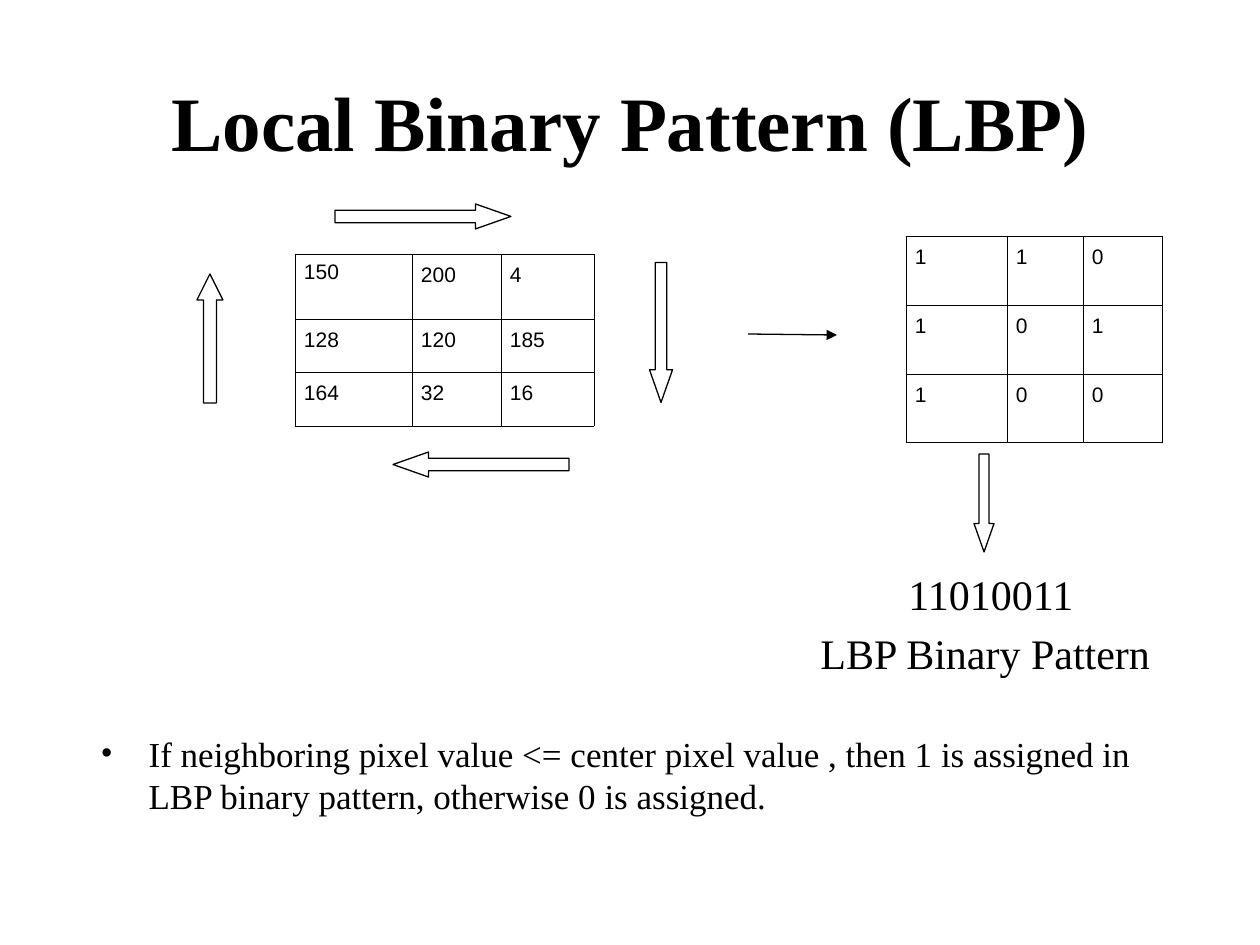
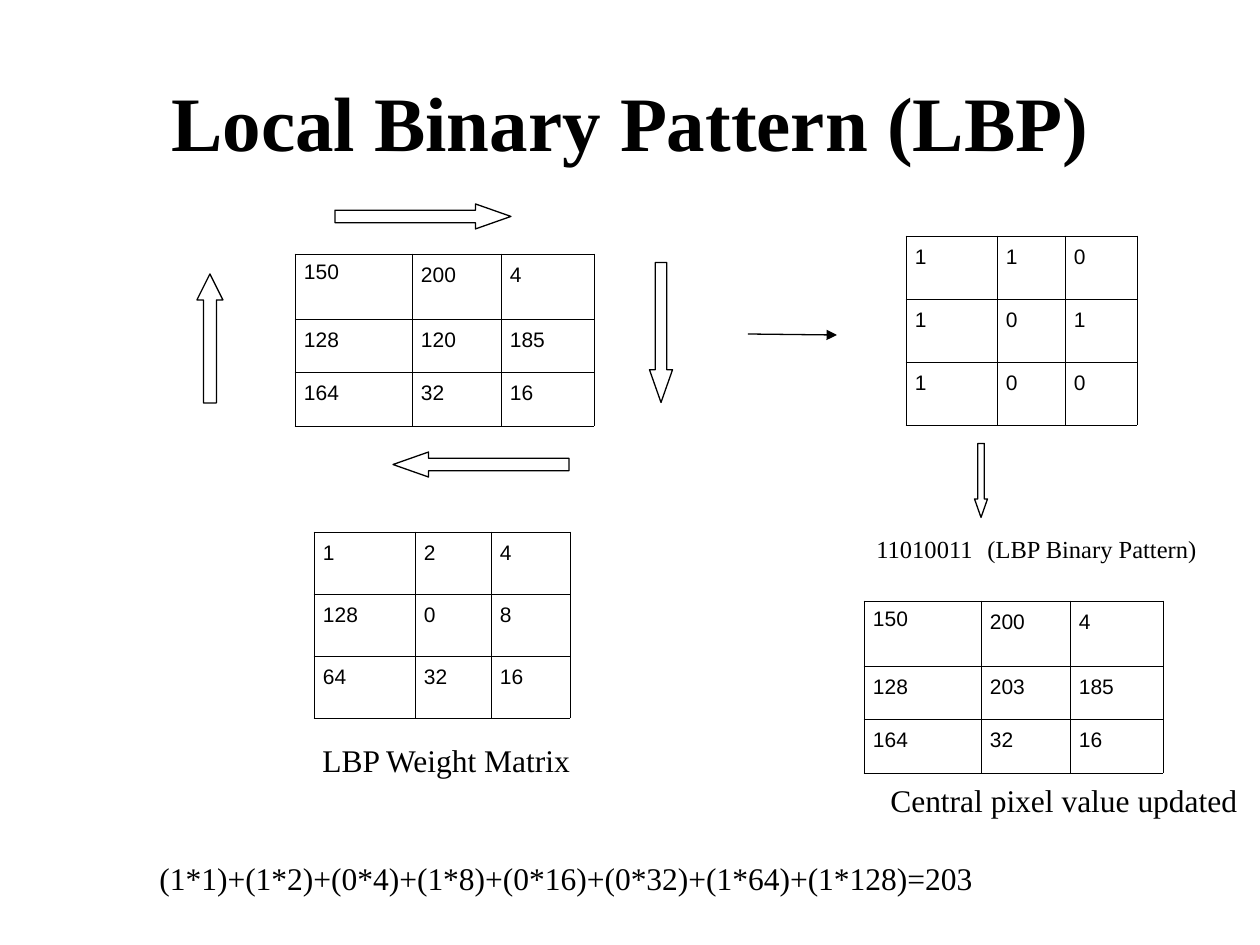
import pptx
import pptx.dml.color
import pptx.enum.shapes
import pptx.enum.text
import pptx.oxml
import pptx.oxml.ns
import pptx.util

INK = "000000"
PAPER = "FFFFFF"
SERIF = "Times New Roman"
SANS = "Arial"
TITLE = "Local Binary Pattern (LBP)"
KIND = pptx.enum.shapes.MSO_SHAPE
FIT = pptx.enum.text.MSO_AUTO_SIZE
ANCHOR = pptx.enum.text.MSO_ANCHOR

PIXELS = [[150, 200, 4], [128, 120, 185], [164, 32, 16]]
UPDATED = [[150, 200, 4], [128, 203, 185], [164, 32, 16]]
BITS = [[1, 1, 0], [1, 0, 1], [1, 0, 0]]
WEIGHTS = [[1, 2, 4], [128, 0, 8], [64, 32, 16]]
PIXEL_COLS, PIXEL_ROWS = [117, 89, 93], [65, 53, 54]
WIDE_COLS, SLIM_COLS = [101, 76, 79], [91, 68, 72]


def px(*sizes):
    """Turn pixel lengths into EMU."""
    return [round(size * 914400 / 126) for size in sizes]


def tint(code):
    """Turn a hex string into a colour."""
    return pptx.dml.color.RGBColor.from_string(code)


def node(xml):
    """Parse one DrawingML element."""
    return pptx.oxml.parse_xml(xml.replace(" ", " " + pptx.oxml.ns.nsdecls("a") + " ", 1))


def style(para, size, face=SERIF, bold=False):
    """Format every run of a paragraph."""
    for run in para.runs:
        run.font.size = pptx.util.Pt(size)
        run.font.name = face
        run.font.bold = bold
        run.font.color.rgb = tint(INK)


def start(deck, layout):
    """Add a slide with the shared title."""
    slide = deck.slides.add_slide(deck.slide_layouts[layout])
    title = slide.shapes.title
    title.left, title.top, title.width, title.height = px(95, 84, 1071, 158)
    frame = title.text_frame
    frame.text = TITLE
    frame.auto_size = FIT.NONE
    frame.vertical_anchor = ANCHOR.MIDDLE
    frame.margin_bottom = px(91)[0]
    frame.paragraphs[0].alignment = pptx.enum.text.PP_ALIGN.CENTER
    style(frame.paragraphs[0], 44, bold=True)
    return slide


def label(slide, box, text, size, wrap=False):
    """Add a text box with one line."""
    frame = slide.shapes.add_textbox(*px(*box)).text_frame
    frame.text = text
    frame.word_wrap = wrap
    frame.auto_size = FIT.SHAPE_TO_FIT_TEXT
    style(frame.paragraphs[0], size)


def edge(cell):
    """Draw thin lines on all four sides of a cell."""
    props = cell._tc.get_or_add_tcPr()
    for spot, side in enumerate("LRTB"):
        props.insert(spot, node(
            f'<a:ln{side} w="5715"><a:solidFill><a:srgbClr val="{INK}"/>'
            f'</a:solidFill></a:ln{side}>'))


def grid(slide, x, y, cols, rows, data):
    """Add a plain table of numbers."""
    box = px(x, y, sum(cols), sum(rows))
    table = slide.shapes.add_table(len(rows), len(cols), *box).table
    table.first_row = table.horz_banding = False
    for col, width in zip(table.columns, px(*cols)):
        col.width = width
    for row, height, values in zip(table.rows, px(*rows), data):
        row.height = height
        for cell, value in zip(row.cells, values):
            cell.text = str(value)
            cell.fill.background()
            cell.margin_left = cell.margin_right = px(9)[0]
            cell.margin_top = cell.margin_bottom = px(6)[0]
            para = cell.text_frame.paragraphs[0]
            para.line_spacing = 1.0 if value == 150 else 1.15
            style(para, 12, SANS)
            edge(cell)


def arrow(slide, box, turn=0, kind=KIND.RIGHT_ARROW, head=1.42):
    """Add an outlined block arrow."""
    shape = slide.shapes.add_shape(kind, *px(*box))
    shape.rotation = turn
    shape.adjustments[0] = 0.5
    shape.adjustments[1] = head
    shape.shadow.inherit = False
    shape.fill.solid()
    shape.fill.fore_color.rgb = tint(PAPER)
    shape.line.color.rgb = tint(INK)
    shape.line.width = pptx.util.Pt(0.75)


def link(slide, x, y, width, drop):
    """Add a thin line with an arrowhead."""
    line = slide.shapes.add_connector(
        pptx.enum.shapes.MSO_CONNECTOR.STRAIGHT, *px(x, y, x + width, y + drop))
    line.line.color.rgb = tint(INK)
    line.line.width = pptx.util.Pt(0.75)
    line.line._get_or_add_ln().append(node('<a:tailEnd type="triangle"/>'))
    line._element.spPr.append(node("<a:effectLst />"))


def scan(slide, x, y):
    """Place the pixel table, the arrows round it and the link onward."""
    grid(slide, x + 98, y + 50, PIXEL_COLS, PIXEL_ROWS, PIXELS)
    link(slide, x + 551, y + 130, 89, 1)
    arrow(slide, (x + 394, y + 117, 140, 23), 90)
    arrow(slide, (x, y + 70, 26, 129), kind=KIND.UP_ARROW, head=1.0)
    arrow(slide, (x + 196, y + 248, 176, 25), 180)
    arrow(slide, (x + 138, y, 176, 25))


def code(slide, x, y, cols, row, tip):
    """Place the bit table and the arrow below it."""
    grid(slide, x, y, cols, [row] * 3, BITS)
    left, top, width, height = tip
    arrow(slide, (x + left, y + top, width, height), 90)


def rule(slide, box, text):
    """Fill the body placeholder with one bullet."""
    body = slide.placeholders[1]
    body.left, body.top, body.width, body.height = px(*box)
    frame = body.text_frame
    frame.text = text
    frame.auto_size = FIT.NONE
    frame.vertical_anchor = ANCHOR.TOP
    frame.margin_top = px(10)[0]
    para = frame.paragraphs[0]
    para.space_before = pptx.util.Pt(0)
    props = para._p.get_or_add_pPr()
    indent = px(48)[0]
    props.set("marL", str(indent))
    props.set("indent", str(-indent))
    props.append(node(f'<a:buClr ><a:srgbClr val="{INK}"/></a:buClr>'))
    props.append(node(f'<a:buFont typeface="{SERIF}"/>'))
    props.append(node('<a:buChar char="•"/>'))
    style(para, 20)


def pattern(deck):
    """Build the slide that derives the bit pattern."""
    slide = start(deck, 1)
    scan(slide, 197, 204)
    code(slide, 906, 236, WIDE_COLS, 69, (29, 257, 98, 20))
    label(slide, (896, 562, 193, 63), "11010011", 24)
    label(slide, (808, 621, 357, 63), "LBP Binary Pattern", 24)
    rule(slide, (88, 722, 1116, 120),
         "If neighboring pixel value <= center pixel value , then 1 is assigned in "
         "LBP binary pattern, otherwise 0 is assigned.")


def weigh(deck):
    """Build the slide that weighs the bits and updates the centre."""
    slide = start(deck, 5)
    scan(slide, 197, 204)
    code(slide, 906, 236, SLIM_COLS, 63, (38, 238, 74, 13))
    label(slide, (864, 528, 123, 43), "11010011", 14)
    label(slide, (975, 528, 236, 43), "(LBP Binary Pattern)", 14)
    grid(slide, 314, 532, WIDE_COLS, [62] * 3, WEIGHTS)
    grid(slide, 864, 601, PIXEL_COLS, PIXEL_ROWS, UPDATED)
    label(slide, (147, 853, 1113, 50),
          "(1*1)+(1*2)+(0*4)+(1*8)+(0*16)+(0*32)+(1*64)+(1*128)=203", 18, True)
    label(slide, (310, 735, 277, 50), "LBP Weight Matrix", 18)
    label(slide, (878, 775, 381, 50), "Central pixel value updated", 18)


def main():
    """Build and save the deck."""
    deck = pptx.Presentation()
    deck.slide_width, deck.slide_height = px(1260, 945)
    pattern(deck)
    weigh(deck)
    deck.save("out.pptx")


if __name__ == "__main__":
    main()
